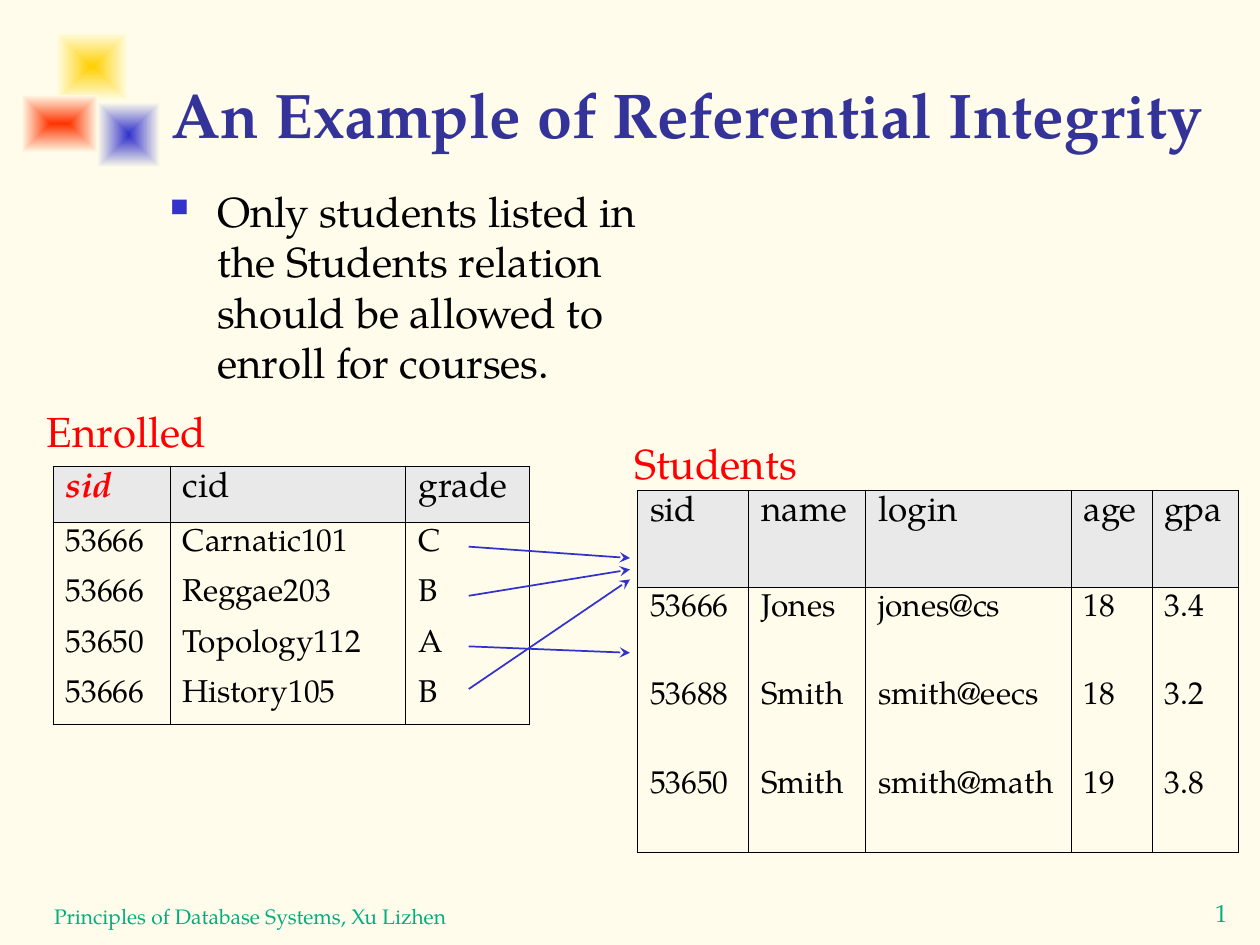
from dataclasses import dataclass

from lxml import etree
from pptx import Presentation
from pptx import util as u
from pptx.dml.color import RGBColor
from pptx.enum import shapes, text
from pptx.oxml import parse_xml
from pptx.oxml.ns import nsdecls, qn

FONT = "TeX Gyre Pagella"
BACKGROUND = "FFFCEB"
FADE = "FFFEEB"
BLUE = "3333CC"
TITLE_BLUE = "333399"
RED = "FF0000"
GREEN = "00AE80"
BLACK = "000000"
HEADER_GRAY = "E9E9E9"
BORDER_WIDTH = u.Pt(0.45)


@dataclass
class Box:
    left: float
    top: float
    width: float
    height: float

    def lengths(self):
        return [u.Cm(v) for v in (self.left, self.top, self.width, self.height)]


@dataclass
class Glow:
    box: Box
    color: str


@dataclass
class Label:
    words: str
    box: Box
    size: float
    color: str
    wrap: bool = False
    anchor: text.MSO_ANCHOR = text.MSO_ANCHOR.TOP
    align: text.PP_ALIGN = text.PP_ALIGN.LEFT


@dataclass
class Relation:
    left: float
    top: float
    widths: list[float]
    header_height: float
    row_height: float
    rows: list[list[str]]


@dataclass
class Reference:
    start_y: float
    end_y: float


GLOWS = [
    Glow(Box(1.12, 0.64, 1.47, 1.4), "FFCF01"),
    Glow(Box(1.96, 2.06, 1.27, 1.32), BLUE),
    Glow(Box(0.43, 1.91, 1.55, 1.17), "FF3300"),
]
LABELS = [
    Label("1", Box(23.11, 17.98, 3.02, 0.97), 14, GREEN, align=text.PP_ALIGN.CENTER),
    Label("Principles of Database Systems, Xu Lizhen", Box(0.84, 17.58, 16.51, 1.27),
          12, GREEN, wrap=True, anchor=text.MSO_ANCHOR.BOTTOM),
    Label("Enrolled", Box(0.69, 8.05, 3.96, 1.27), 24, RED),
    Label("Students", Box(12.55, 8.69, 3.99, 1.27), 24, RED),
]
RULE = Label("Only students listed in the Students relation should be allowed "
             "to enroll for courses.", Box(3.18, 3.61, 10.64, 13.97), 24, BLACK, wrap=True)
REFERENCE_START_X, REFERENCE_END_X = 9.45, 12.7
REFERENCES = [Reference(11.02, 11.25), Reference(12.01, 11.48),
              Reference(13.89, 11.68), Reference(13.03, 13.16)]
ENROLLED = Relation(1.07, 9.4, [2.36, 4.75, 2.49], 1.12, 1.02, [
    ["sid", "cid", "grade"],
    ["53666", "Carnatic101", "C"],
    ["53666", "Reggae203", "B"],
    ["53650", "Topology112", "A"],
    ["53666", "History105", "B"],
])
STUDENTS = Relation(12.85, 9.88, [2.24, 2.36, 4.14, 1.63, 1.75], 1.96, 1.78, [
    ["sid", "name", "login", "age", "gpa"],
    ["53666", "Jones", "jones@cs", "18", "3.4"],
    ["53688", "Smith", "smith@eecs", "18", "3.2"],
    ["53650", "Smith", "smith@math", "19", "3.8"],
])


def rgb(color: str) -> RGBColor:
    return RGBColor.from_string(color)


def set_font(paragraph, size: float, color: str, bold=False, italic=False) -> None:
    font = paragraph.font
    font.name, font.size = FONT, u.Pt(size)
    font.bold, font.italic = bold, italic
    font.color.rgb = rgb(color)


def add_glow(slide, glow: Glow) -> None:
    shape = slide.shapes.add_shape(shapes.MSO_SHAPE.RECTANGLE, *glow.box.lengths())
    shape.shadow.inherit = False
    shape.line.fill.background()
    shape.fill.gradient()
    for stop, color, position in zip(shape.fill.gradient_stops, (glow.color, FADE), (0, 1)):
        stop.color.rgb = rgb(color)
        stop.position = position
    # Turn the linear gradient into one that spreads from the centre
    linear = shape._element.spPr.find(qn("a:gradFill")).find(qn("a:lin"))
    linear.getparent().replace(linear, parse_xml(
        f'<a:path {nsdecls("a")} path="rect">'
        '<a:fillToRect l="50000" t="50000" r="50000" b="50000"/></a:path>'))


def add_label(slide, label: Label):
    shape = slide.shapes.add_textbox(*label.box.lengths())
    frame = shape.text_frame
    frame.word_wrap = label.wrap
    frame.vertical_anchor = label.anchor
    frame.text = label.words
    paragraph = frame.paragraphs[0]
    paragraph.alignment = label.align
    set_font(paragraph, label.size, label.color)
    return paragraph


def add_bullet(paragraph) -> None:
    properties = paragraph._p.get_or_add_pPr()
    properties.set("marL", str(u.Cm(0.95)))
    properties.set("indent", str(-u.Cm(0.95)))
    marks = (f'<a:buClr {nsdecls("a")}><a:srgbClr val="{BLUE}"/></a:buClr>',
             f'<a:buSzPct {nsdecls("a")} val="60000"/>',
             f'<a:buChar {nsdecls("a")} char="■"/>')
    for index, mark in enumerate(marks):
        properties.insert(index, parse_xml(mark))


def add_reference(slide, reference: Reference) -> None:
    connector = slide.shapes.add_connector(
        shapes.MSO_CONNECTOR.STRAIGHT,
        u.Cm(REFERENCE_START_X), u.Cm(reference.start_y),
        u.Cm(REFERENCE_END_X), u.Cm(reference.end_y))
    connector.line.color.rgb = rgb(BLUE)
    connector.line.width = u.Pt(1)
    etree.SubElement(connector.line._get_or_add_ln(), qn("a:tailEnd"), type="stealth")
    etree.SubElement(connector._element.spPr, qn("a:effectLst"))


def set_borders(cell, visible: str) -> None:
    properties = cell._tc.get_or_add_tcPr()
    for index, side in enumerate("LRTB"):
        paint = (f'<a:solidFill><a:srgbClr val="{BLACK}"/></a:solidFill>'
                 if side in visible else "<a:noFill/>")
        properties.insert(index, parse_xml(
            f'<a:ln{side} {nsdecls("a")} w="{BORDER_WIDTH}">{paint}</a:ln{side}>'))


def add_relation(slide, relation: Relation):
    body_count = len(relation.rows) - 1
    box = Box(relation.left, relation.top, sum(relation.widths),
              relation.header_height + body_count * relation.row_height)
    table = slide.shapes.add_table(
        len(relation.rows), len(relation.widths), *box.lengths()).table
    table.horz_banding = False
    for column, width in zip(table.columns, relation.widths):
        column.width = u.Cm(width)
    for i, values in enumerate(relation.rows):
        header = i == 0
        table.rows[i].height = u.Cm(relation.header_height if header else relation.row_height)
        # Body rows share one frame, with no lines between them
        visible = "LR" + "T" * (i <= 1) + "B" * (i in (0, body_count))
        for j, value in enumerate(values):
            cell = table.cell(i, j)
            cell.text = value
            set_font(cell.text_frame.paragraphs[0], 20 if header else 18, BLACK)
            if header:
                cell.fill.solid()
                cell.fill.fore_color.rgb = rgb(HEADER_GRAY)
            else:
                cell.fill.background()
            set_borders(cell, visible)
    return table


def main() -> None:
    presentation = Presentation()
    presentation.slide_width, presentation.slide_height = u.Cm(25.4), u.Cm(19.05)
    slide = presentation.slides.add_slide(presentation.slide_layouts[5])
    slide.background.fill.solid()
    slide.background.fill.fore_color.rgb = rgb(BACKGROUND)

    # Decoration
    for glow in GLOWS:
        add_glow(slide, glow)

    # Title
    title = slide.shapes.title
    title.left, title.top, title.width, title.height = Box(3.2, 0.43, 21.64, 2.74).lengths()
    title.text_frame.text = "An Example of Referential Integrity"
    title.text_frame.auto_size = text.MSO_AUTO_SIZE.NONE
    title.text_frame.vertical_anchor = text.MSO_ANCHOR.BOTTOM
    heading = title.text_frame.paragraphs[0]
    heading.alignment = text.PP_ALIGN.LEFT
    set_font(heading, 36, TITLE_BLUE, bold=True)

    # Rule, captions and footer
    add_bullet(add_label(slide, RULE))
    for label in LABELS:
        add_label(slide, label)

    # Relations, with the foreign key emphasised
    enrolled = add_relation(slide, ENROLLED)
    foreign_key = enrolled.cell(0, 0).text_frame.paragraphs[0]
    set_font(foreign_key, 20, RED, bold=True, italic=True)
    add_relation(slide, STUDENTS)

    # References from Enrolled to Students
    for reference in REFERENCES:
        add_reference(slide, reference)

    presentation.save("out.pptx")


if __name__ == "__main__":
    main()
